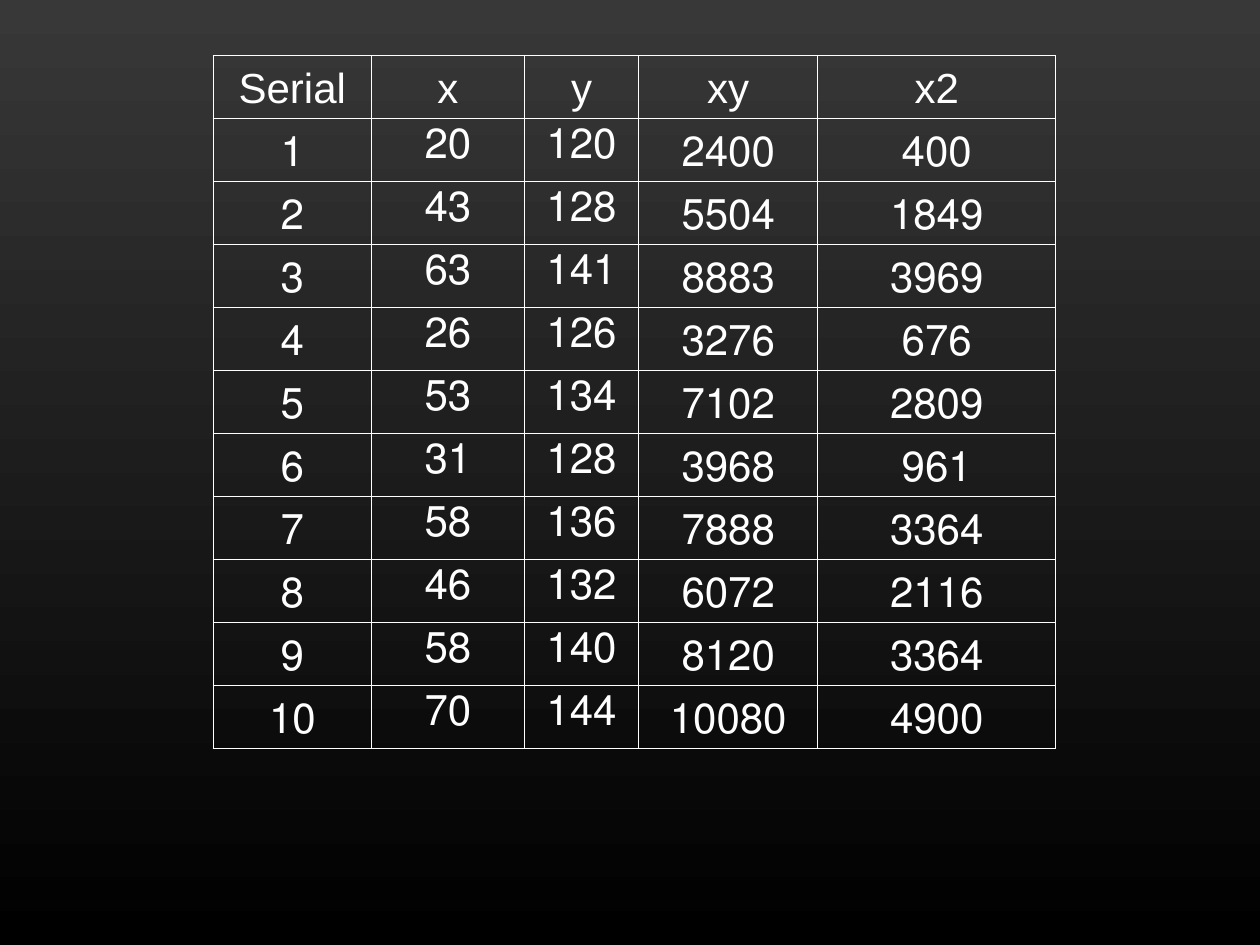
from typing import NamedTuple

from lxml.etree import SubElement
from pptx import Presentation
from pptx.dml.color import RGBColor
from pptx.enum.text import MSO_ANCHOR, PP_ALIGN
from pptx.oxml.ns import qn
from pptx.util import Inches, Pt

COLORS = {"top": "383838", "bottom": "000000", "text": "FFFFFF", "border": "FFFFFF"}
ROW_HEIGHT = 0.5


class Column(NamedTuple):
    header: str
    width: float
    anchor: MSO_ANCHOR  # of the cells below the header


COLUMNS = [
    Column("Serial", 1.26, MSO_ANCHOR.BOTTOM),
    Column("x", 1.21, MSO_ANCHOR.TOP),
    Column("y", 0.91, MSO_ANCHOR.TOP),
    Column("xy", 1.42, MSO_ANCHOR.BOTTOM),
    Column("x2", 1.89, MSO_ANCHOR.BOTTOM),
]
POINTS = [(20, 120), (43, 128), (63, 141), (26, 126), (53, 134),
          (31, 128), (58, 136), (46, 132), (58, 140), (70, 144)]


def set_background(s) -> None:
    fill = s.background.fill
    fill.gradient()
    fill.gradient_angle = 270
    for stop, name in zip(fill.gradient_stops, ("top", "bottom")):
        stop.color.rgb = RGBColor.from_string(COLORS[name])


def add_borders(cell) -> None:
    tcPr = cell._tc.get_or_add_tcPr()
    for side in ("a:lnL", "a:lnR", "a:lnT", "a:lnB"):
        ln = SubElement(tcPr, qn(side), w=str(Pt(0.45)))
        solid = SubElement(ln, qn("a:solidFill"))
        SubElement(solid, qn("a:srgbClr"), val=COLORS["border"])


def fill_cell(cell, text: str, anchor: MSO_ANCHOR) -> None:
    add_borders(cell)
    cell.fill.background()
    cell.vertical_anchor = anchor
    p = cell.text_frame.paragraphs[0]
    p.alignment = PP_ALIGN.CENTER
    p._p.get_or_add_pPr().set("rtl", "1")
    r = p.add_run()
    r.text = text
    r.font.name = "Arial"
    r.font.size = Pt(24)
    r.font.color.rgb = RGBColor.from_string(COLORS["text"])


def add_regression_table(s) -> None:
    rows = [(i, x, y, x * y, x * x) for i, (x, y) in enumerate(POINTS, 1)]
    width = sum(col.width for col in COLUMNS)
    height = ROW_HEIGHT * (len(rows) + 1)
    table = s.shapes.add_table(len(rows) + 1, len(COLUMNS), Inches(1.69), Inches(0.44),
                               Inches(width), Inches(height)).table
    table.first_row = table.horz_banding = False
    for c, col in enumerate(COLUMNS):
        table.columns[c].width = Inches(col.width)
        fill_cell(table.cell(0, c), col.header, MSO_ANCHOR.BOTTOM)
        for i, row in enumerate(rows, 1):
            fill_cell(table.cell(i, c), str(row[c]), col.anchor)


def main() -> None:
    prs = Presentation()
    prs.slide_width, prs.slide_height = Inches(10), Inches(7.5)
    s = prs.slides.add_slide(prs.slide_layouts[6])
    set_background(s)
    add_regression_table(s)
    prs.save("out.pptx")


if __name__ == "__main__":
    main()
